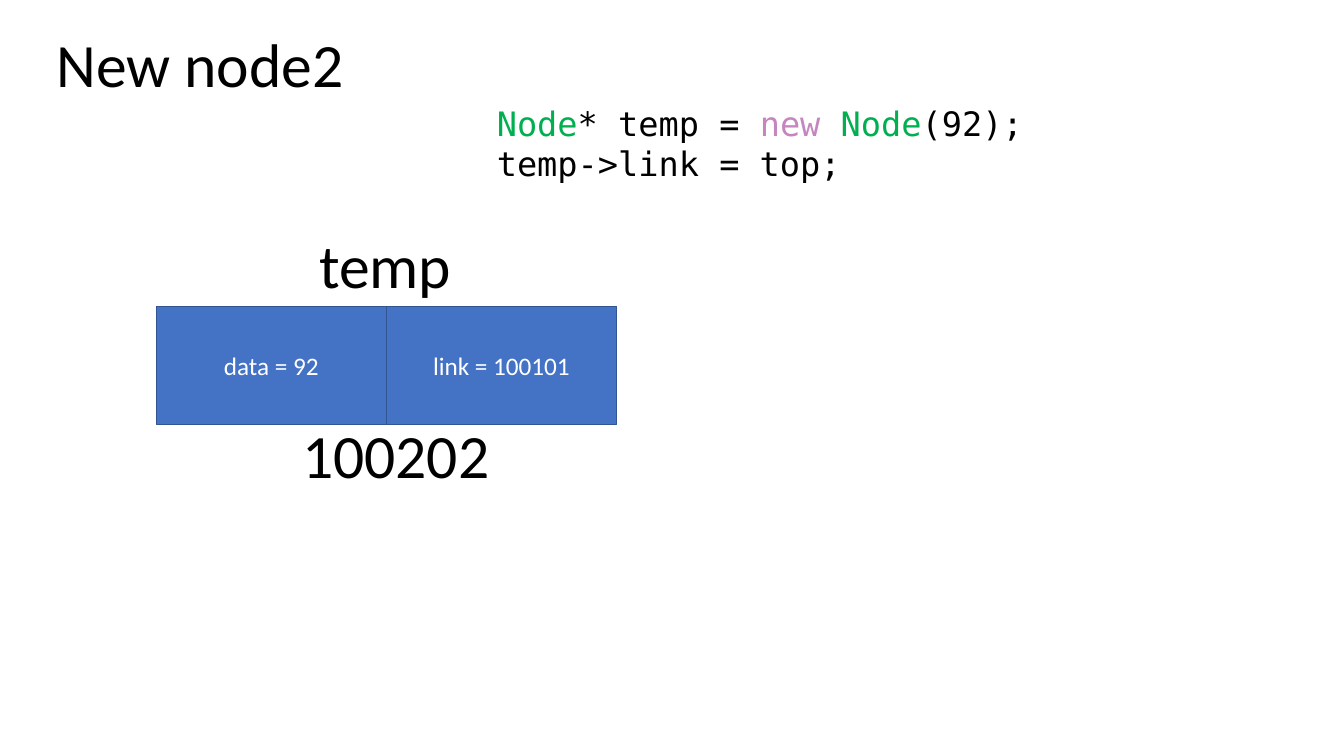
from pptx import Presentation
from pptx.dml.color import RGBColor
from pptx.enum.shapes import MSO_SHAPE
from pptx.enum.text import MSO_ANCHOR, MSO_AUTO_SIZE, PP_ALIGN
from pptx.util import Pt

RECTANGLE = MSO_SHAPE.RECTANGLE
TOP, MIDDLE = MSO_ANCHOR.TOP, MSO_ANCHOR.MIDDLE
LEFT, CENTER = PP_ALIGN.LEFT, PP_ALIGN.CENTER
GROW = MSO_AUTO_SIZE.SHAPE_TO_FIT_TEXT
FIXED = MSO_AUTO_SIZE.NONE

BLACK = RGBColor(0x00, 0x00, 0x00)
WHITE = RGBColor(0xFF, 0xFF, 0xFF)
CELL_BLUE = RGBColor(0x44, 0x72, 0xC4)
EDGE_BLUE = RGBColor(0x32, 0x54, 0x91)
TYPE_GREEN = RGBColor(0x00, 0xB0, 0x50)
KEYWORD_PINK = RGBColor(0xC5, 0x86, 0xC0)


class NodePage:
    """Hold the style and the current slide."""

    body_font = "Calibri"
    code_font = "DejaVu Sans Mono"
    label_size, cell_size, code_size = Pt(44), Pt(18), Pt(24)

    def __init__(self, deck):
        """Add a title-only slide to the deck."""
        self.page = deck.slides.add_slide(deck.slide_layouts[5])

    def add_span(self, para, text, font, size, color):
        """Append one formatted run to a paragraph."""
        span = para.add_run()
        span.text = text
        span.font.name = font
        span.font.size = size
        span.font.color.rgb = color

    def set_frame(self, box, anchor=TOP, align=LEFT, wrap=True, fit=GROW):
        """Format the text frame and return its first paragraph."""
        frame = box.text_frame
        frame.margin_left = frame.margin_right = Pt(7.2)
        frame.margin_top = frame.margin_bottom = Pt(3.6)
        frame.word_wrap = wrap
        frame.auto_size = fit
        frame.vertical_anchor = anchor
        para = frame.paragraphs[0]
        para.alignment = align
        return para

    def title(self, text, left, top, width, height):
        """Place and fill the title placeholder."""
        box = self.page.shapes.title
        box.left, box.top, box.width, box.height = left, top, width, height
        para = self.set_frame(box)
        self.add_span(para, text, self.body_font, self.label_size, BLACK)

    def label(self, text, left, top, width, height):
        """Add a large label on a single line."""
        box = self.page.shapes.add_textbox(left, top, width, height)
        para = self.set_frame(box, wrap=False)
        self.add_span(para, text, self.body_font, self.label_size, BLACK)

    def cell(self, text, left, top, width, height):
        """Add one field of the node."""
        box = self.page.shapes.add_shape(RECTANGLE, left, top, width, height)
        box.shadow.inherit = False
        box.fill.solid()
        box.fill.fore_color.rgb = CELL_BLUE
        box.line.color.rgb = EDGE_BLUE
        box.line.width = Pt(1)
        para = self.set_frame(box, MIDDLE, CENTER, fit=FIXED)
        self.add_span(para, text, self.body_font, self.cell_size, WHITE)

    def code(self, lines, left, top, width, height):
        """Add code lines, each a list of (text, color) spans."""
        box = self.page.shapes.add_textbox(left, top, width, height)
        para = self.set_frame(box)
        for number, line in enumerate(lines):
            if number:
                para.add_line_break()
            for text, color in line:
                self.add_span(para, text, self.code_font, self.code_size, color)


def build():
    """Build the slide and save the deck."""
    deck = Presentation()
    deck.slide_width, deck.slide_height = Pt(960), Pt(540)
    slide = NodePage(deck)

    slide.title("New node2", Pt(33.1), Pt(15.1), Pt(251.3), Pt(60.5))
    slide.label("temp", Pt(221), Pt(158.4), Pt(110.2), Pt(60.5))

    cell_width = 164.4
    for column, field in enumerate(("data = 92", "link = 100101")):
        left = Pt(111.6 + column * cell_width)
        slide.cell(field, left, Pt(218.9), Pt(cell_width), Pt(84.2))

    slide.label("100202", Pt(208.8), Pt(294.5), Pt(149), Pt(60.5))

    code_lines = [
        [("Node", TYPE_GREEN), ("* temp = ", BLACK), ("new ", KEYWORD_PINK),
         ("Node", TYPE_GREEN), ("(92);", BLACK)],
        [("temp->link = top;", BLACK)],
    ]
    slide.code(code_lines, Pt(347.8), Pt(69.8), Pt(417.6), Pt(65.5))

    deck.save("out.pptx")


build()
